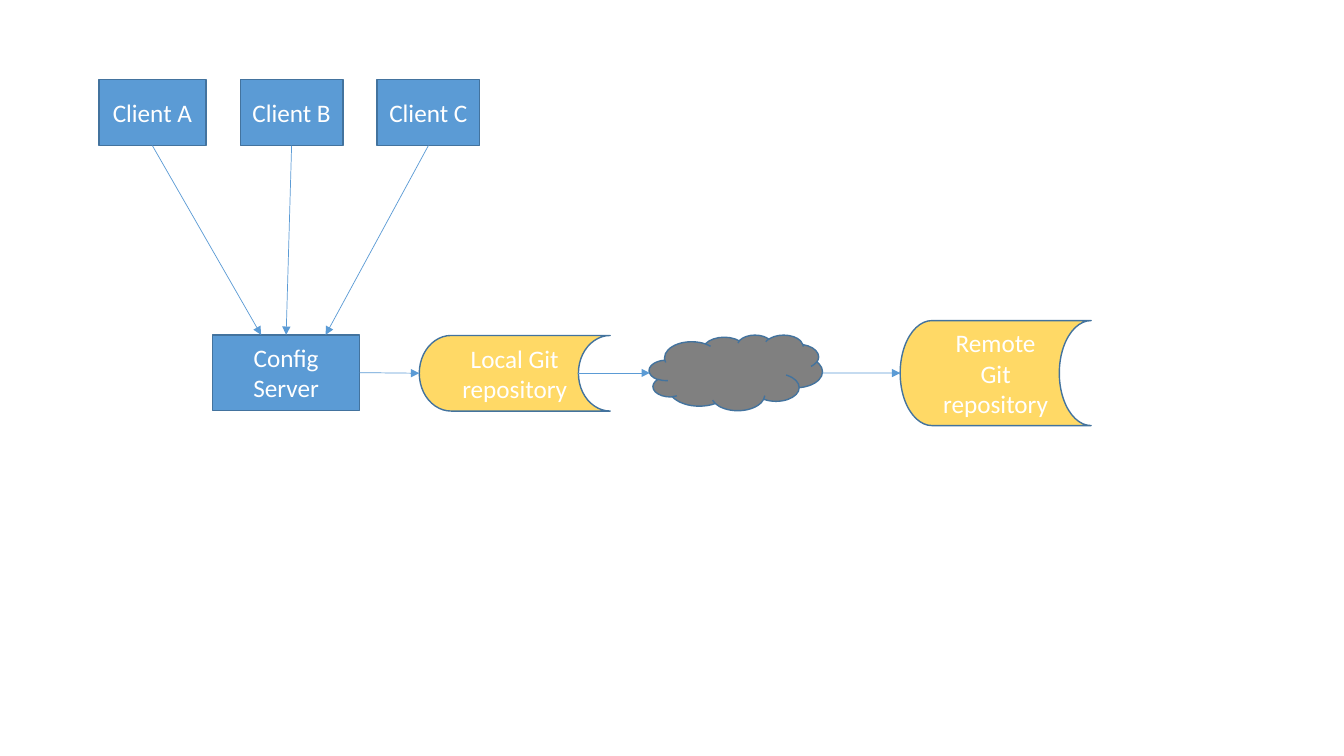
"""Draw the flow from clients through a config server to Git repositories."""
from lxml import etree
from pptx import Presentation
from pptx import util as u
from pptx.dml.color import RGBColor
from pptx.enum import shapes, text
from pptx.oxml.ns import qn

Pt = u.Pt
KIND = shapes.MSO_SHAPE
TOP, LEFT, BASE, RIGHT = range(4)


class Board:
    """Hold the style and the current slide."""

    hues = {"box": "5B9BD5", "edge": "43739E", "store": "FFD966",
            "cloud": "808080", "text": "FFFFFF"}
    font = {"name": "Calibri", "size": Pt(18)}
    frame = {"word_wrap": True, "vertical_anchor": text.MSO_ANCHOR.MIDDLE}

    def __init__(self, deck):
        self.slide = deck.slides.add_slide(deck.slide_layouts[6])

    def hue(self, name):
        """Return a named colour."""
        return RGBColor.from_string(self.hues[name])

    def apply(self, item, style):
        """Set each style value on an item."""
        for key, value in style.items():
            setattr(item, key, value)

    def shape(self, kind, area, fill, words=""):
        """Add a filled shape with centred lines of text."""
        node = self.slide.shapes.add_shape(kind, *map(Pt, area))
        node.shadow.inherit = False
        node.fill.solid()
        node.fill.fore_color.rgb = self.hue(fill)
        node.line.color.rgb = self.hue("edge")
        node.line.width = Pt(1)
        if words:
            frame = node.text_frame
            self.apply(frame, self.frame)
            frame.text = words
            for para in frame.paragraphs:
                para.alignment = text.PP_ALIGN.CENTER
                self.apply(para.runs[0].font, self.font)
                para.runs[0].font.color.rgb = self.hue("text")
        return node

    def arrow(self, start, end, tail=None, head=None):
        """Add an arrow, joined to a (shape, site) pair where one is given."""
        line = self.slide.shapes.add_connector(
            shapes.MSO_CONNECTOR.STRAIGHT, *map(Pt, start + end))
        if tail:
            line.begin_connect(*tail)
        if head:
            line.end_connect(*head)
        line.line.color.rgb = self.hue("box")
        line.line.width = Pt(0.5)
        tip = etree.SubElement(line.line._get_or_add_ln(), qn("a:tailEnd"))
        tip.set("type", "triangle")
        etree.SubElement(line._element.spPr, qn("a:effectLst"))


def main():
    """Build and save the slide."""
    deck = Presentation()
    deck.slide_width, deck.slide_height = Pt(960), Pt(540)
    board = Board(deck)
    mid = 266.4

    server = board.shape(KIND.RECTANGLE, (151.9, 239.2, 105, 54),
                         "box", "Config Server")
    clients = [("A", 70.6, 76.5, 186.5), ("B", 171.6, 73.4, 204.4),
               ("C", 269.3, 73.4, 232.6)]
    for name, left, width, goal in clients:
        client = board.shape(KIND.RECTANGLE, (left, 56.8, width, 47.2),
                             "box", f"Client {name}")
        head = (server, TOP) if name == "B" else None
        board.arrow((left + width / 2, 104), (goal, 239.2),
                    (client, BASE), head)

    local = board.shape(KIND.FLOWCHART_STORED_DATA, (299.5, 239.6, 136.4, 54),
                        "store", "Local Git\nrepository")
    board.shape(KIND.CLOUD, (463.7, 239.2, 123.8, 54), "cloud")
    remote = board.shape(KIND.FLOWCHART_STORED_DATA, (643, 229, 136.4, 75),
                         "store", "Remote\nGit\nrepository")

    board.arrow((256.9, mid), (299.5, mid), (server, RIGHT), (local, LEFT))
    board.arrow((413.2, mid), (464.2, mid))
    board.arrow((587.5, mid), (643, mid), head=(remote, LEFT))
    deck.save("out.pptx")


if __name__ == "__main__":
    main()
